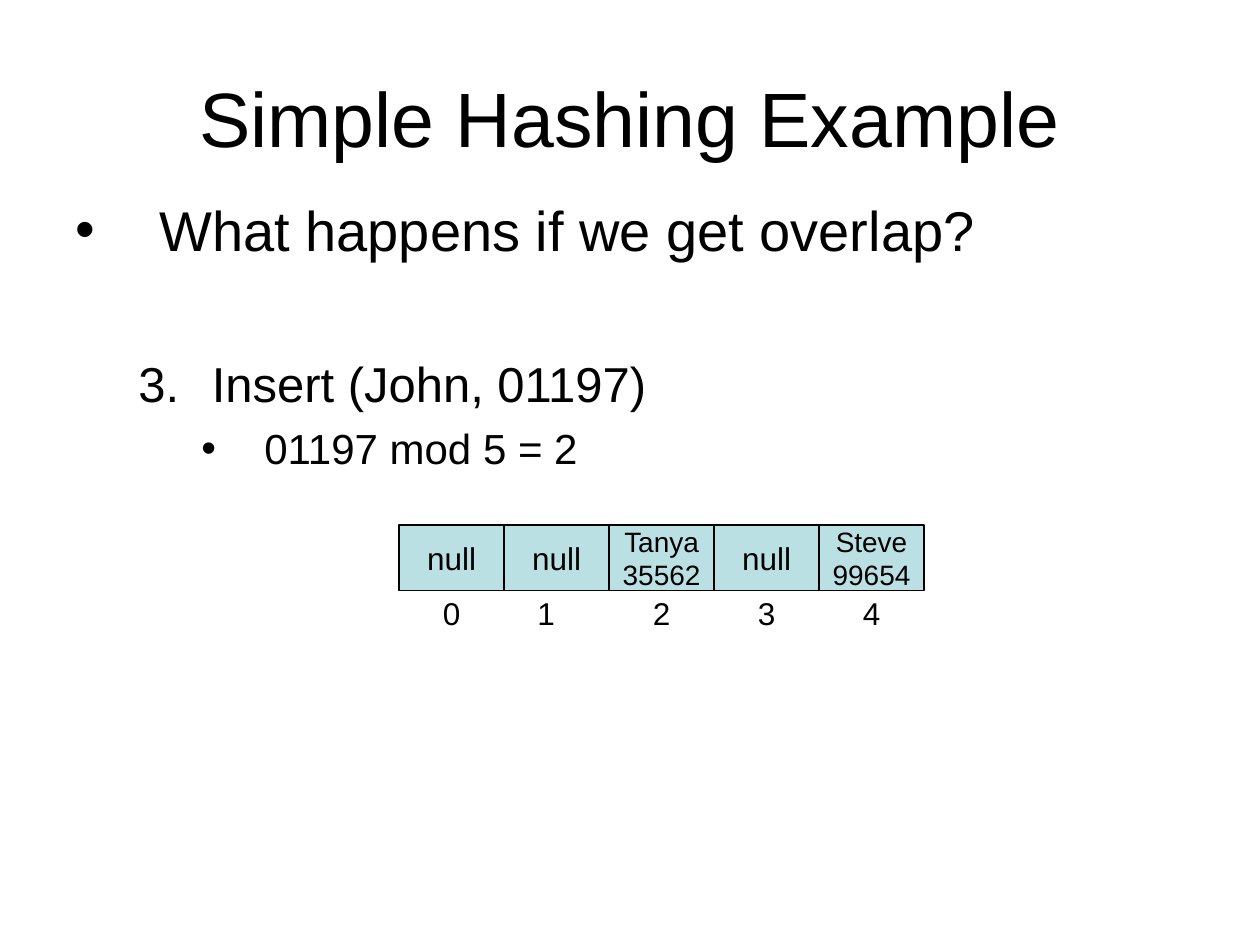
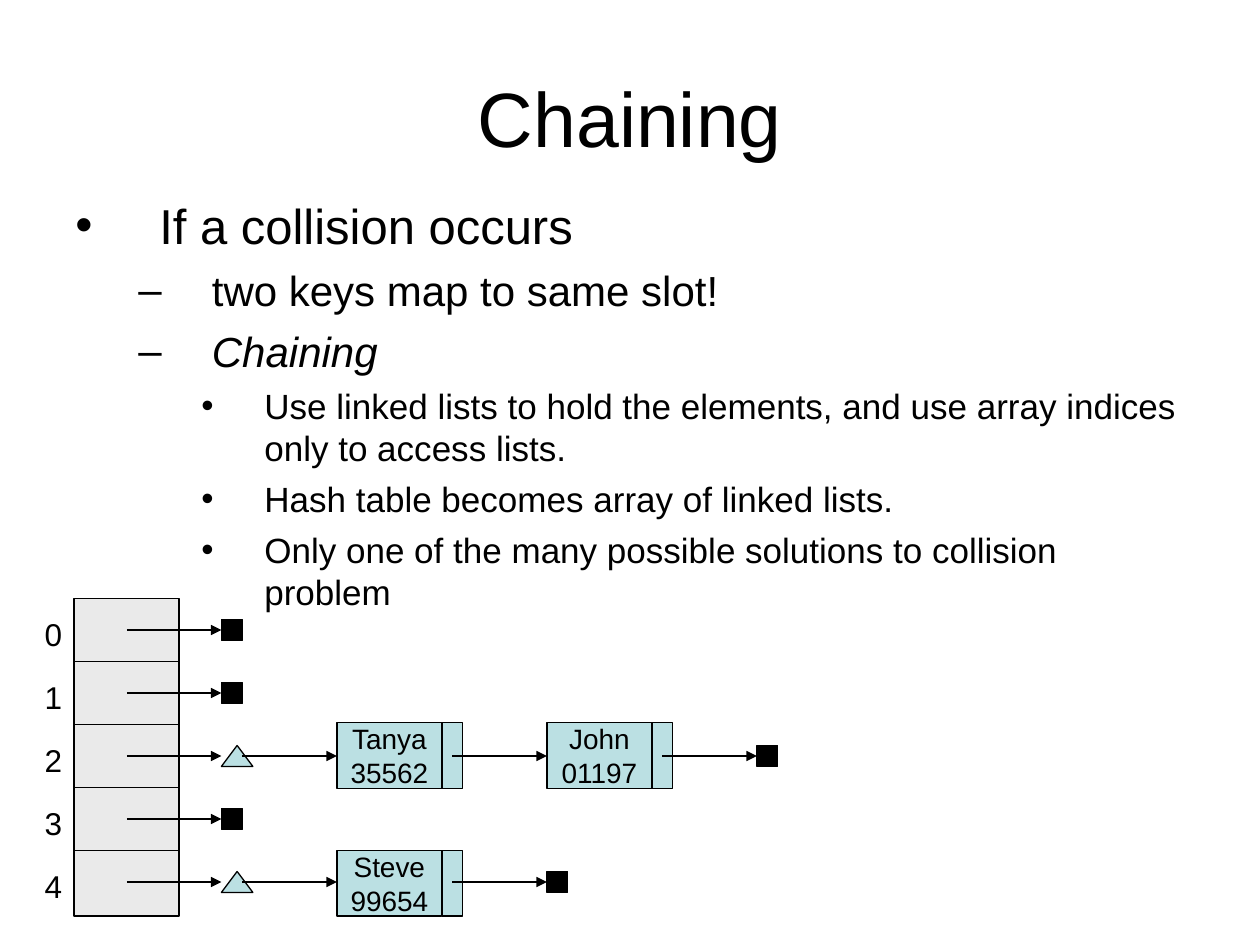
from lxml.etree import SubElement
from pptx import Presentation
from pptx.dml.color import RGBColor
from pptx.enum.shapes import MSO_CONNECTOR as Connector, MSO_SHAPE as Shape
from pptx.enum.text import MSO_ANCHOR as Anchor, PP_ALIGN as Align
from pptx.oxml.ns import qn
from pptx.util import Pt

FONT = "Arial"
BLACK, TEAL, GREY = "000000", "BBE0E3", "EAEAEA"
color = RGBColor.from_string

# Left margin and hanging indent of each outline level
INDENTS = [(48, -48), (78, -42), (108, -36)]
BULLET, DASH, NUMBER_3 = "•", "–", 3
CELL_WIDTH, CELL_HEIGHT, POINTER_WIDTH, ARROW_LENGTH = 60, 37.5, 12, 54


def add_box(slide, kind, left, top, width, height, text="", size=18, fill=None,
            line=0.75, align=Align.CENTER, anchor=Anchor.MIDDLE, wrap=True):
    """Add a preset shape, or a plain text box if kind is None; return its text frame."""
    place = [Pt(length) for length in (left, top, width, height)]
    if kind is None:
        shape = slide.shapes.add_textbox(*place)
    else:
        shape = slide.shapes.add_shape(kind, *place)
        shape.shadow.inherit = False
        shape.fill.solid()
        shape.fill.fore_color.rgb = color(fill)
        shape.line.color.rgb = color(BLACK)
        shape.line.width = Pt(line)
    frame = shape.text_frame
    frame.word_wrap = wrap
    frame.vertical_anchor = anchor
    if text:
        paragraph = frame.paragraphs[0]
        paragraph.text = text
        paragraph.alignment = align
        for name, value in {"name": FONT, "size": Pt(size)}.items():
            setattr(paragraph.font, name, value)
        paragraph.font.color.rgb = color(BLACK)
    return frame


def add_arrow(slide, left, middle):
    """Add a horizontal arrow and return the x of its tip."""
    tip = left + ARROW_LENGTH
    arrow = slide.shapes.add_connector(Connector.STRAIGHT, Pt(left), Pt(middle), Pt(tip), Pt(middle))
    arrow.line.color.rgb = color(BLACK)
    arrow.line.width = Pt(0.75)
    SubElement(arrow.line._get_or_add_ln(), qn("a:tailEnd"), type="triangle")
    SubElement(arrow._element.spPr, qn("a:effectLst"))
    return tip


presentation = Presentation()
presentation.slide_width, presentation.slide_height = Pt(720), Pt(540)

# Title, body height, and body lines: level, mark, text, size, space before, italic
outlines = [
    ("Simple Hashing Example", 356.4, [
        (0, BULLET, "What happens if we get overlap?", 32, 8, False),
        (1, NUMBER_3, "Insert (John, 01197)", 28, 52, False),
        (2, BULLET, "01197 mod 5 = 2", 24, 6, False),
    ]),
    ("Chaining", 246.2, [
        (0, BULLET, "If a collision occurs", 28, 7, False),
        (1, DASH, "two keys map to same slot!", 24, 6, False),
        (1, DASH, "Chaining", 24, 6, True),
        (2, BULLET, "Use linked lists to hold the elements, and use array indices "
                    "only to access lists.", 20, 5, False),
        (2, BULLET, "Hash table becomes array of linked lists.", 20, 5, False),
        (2, BULLET, "Only one of the many possible solutions to collision problem", 20, 5, False),
    ]),
]

slides = []
for title, body_height, lines in outlines:
    slide = presentation.slides.add_slide(presentation.slide_layouts[6])
    slides.append(slide)
    add_box(slide, None, 36, 21.6, 648, 90, title, 44)
    body = add_box(slide, None, 36, 108, 648, body_height, anchor=Anchor.TOP)
    for index, (level, mark, text, size, space, italic) in enumerate(lines):
        paragraph = body.add_paragraph() if index else body.paragraphs[0]
        paragraph.text = text
        paragraph.level = level
        paragraph.space_before = Pt(space)
        for name, value in {"name": FONT, "size": Pt(size), "italic": italic}.items():
            setattr(paragraph.font, name, value)
        paragraph.font.color.rgb = color(BLACK)
        properties = paragraph._p.get_or_add_pPr()
        margin, indent = INDENTS[level]
        properties.set("marL", str(Pt(margin)))
        properties.set("indent", str(Pt(indent)))
        bullet_color = SubElement(properties, qn("a:buClr"))
        SubElement(bullet_color, qn("a:srgbClr"), val=BLACK)
        SubElement(properties, qn("a:buFont"), typeface=FONT)
        if mark == NUMBER_3:
            SubElement(properties, qn("a:buAutoNum"), type="arabicPeriod", startAt=str(mark))
        else:
            SubElement(properties, qn("a:buChar"), char=mark)

hashing_slide, chaining_slide = slides

# Hash table as a row of slots
slots = ["null", "null", "Tanya 35562", "null", "Steve\n99654"]
index_lefts = [246, 300, 366, 426, 486]
for index, (slot, index_left) in enumerate(zip(slots, index_lefts)):
    is_null = slot == "null"
    add_box(hashing_slide, Shape.RECTANGLE, 228 + index * CELL_WIDTH, 300, CELL_WIDTH, CELL_HEIGHT,
            slot, 18 if is_null else 16, TEAL, wrap=not is_null)
    add_box(hashing_slide, None, index_left, 336, 24.5, 28.8, str(index),
            align=Align.LEFT, anchor=Anchor.TOP, wrap=False)

# Hash table as a column of linked lists: slot index -> top of the nodes, entries
chains = {2: (413, ["Tanya 35562", "John 01197"]), 4: (486, ["Steve\n99654"])}
for index in range(5):
    top = 342 + index * 36
    add_box(chaining_slide, Shape.RECTANGLE, 42.5, top, CELL_WIDTH, CELL_HEIGHT, fill=GREY, line=1)
    add_box(chaining_slide, None, 18.5, top + 5.8, 24.5, 28.8, str(index),
            align=Align.LEFT, anchor=Anchor.TOP)

for index in range(5):
    middle = 360 + index * 36
    node_top, entries = chains.get(index, (0, []))
    left = add_arrow(chaining_slide, 72.5, middle)
    if entries:
        add_box(chaining_slide, Shape.ISOSCELES_TRIANGLE, left, middle - 6, 18, 12, fill=TEAL)
        left = add_arrow(chaining_slide, left + 12, middle)
    for entry in entries:
        add_box(chaining_slide, Shape.RECTANGLE, left, node_top, CELL_WIDTH, CELL_HEIGHT,
                entry, 16, TEAL)
        pointer_left = left + CELL_WIDTH
        add_box(chaining_slide, Shape.RECTANGLE, pointer_left, node_top, POINTER_WIDTH, CELL_HEIGHT,
                fill=TEAL)
        left = add_arrow(chaining_slide, pointer_left + POINTER_WIDTH / 2, middle)
    add_box(chaining_slide, Shape.RECTANGLE, left, middle - 6, 12, 12, fill=BLACK)

presentation.save("out.pptx")
